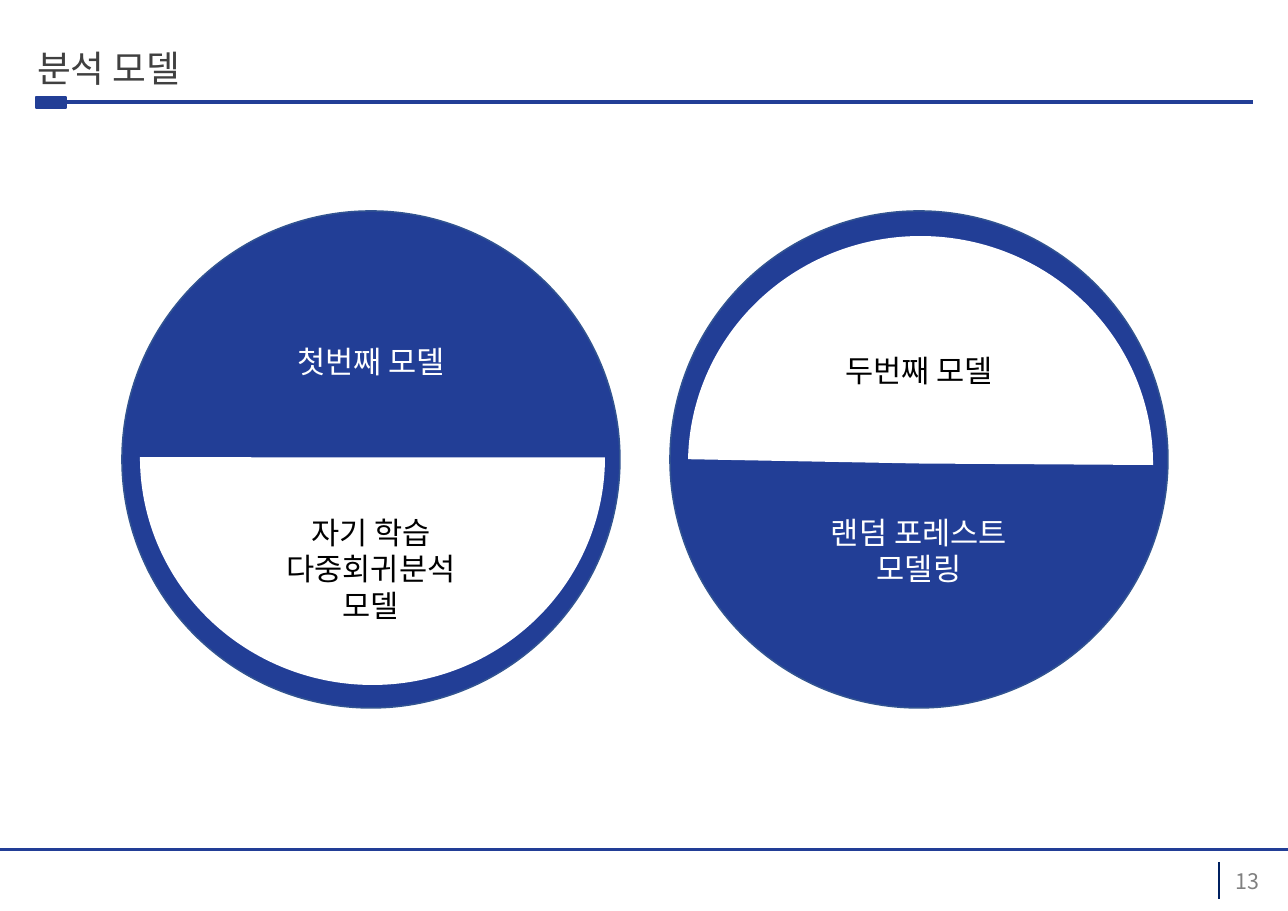
from lxml import etree
from pptx import Presentation
from pptx.dml.color import RGBColor
from pptx.enum.shapes import MSO_CONNECTOR, MSO_SHAPE
from pptx.enum.text import MSO_ANCHOR, MSO_AUTO_SIZE, PP_ALIGN
from pptx.oxml.ns import qn
from pptx.util import Pt

RECTANGLE, OVAL, PIE = MSO_SHAPE.RECTANGLE, MSO_SHAPE.OVAL, MSO_SHAPE.PIE
LEFT, CENTER = PP_ALIGN.LEFT, PP_ALIGN.CENTER
FONT = "Noto Sans CJK KR"
BLUE, OUTLINE, NAVY = "223E96", "325491", "002060"
WHITE, BLACK, DARK_GRAY, GRAY = "FFFFFF", "000000", "404040", "808080"

TITLE = "분석 모델"
PAGE_NUMBER = "13"
SLIDE_WIDTH, SLIDE_HEIGHT = 1288, 911
CIRCLE_TOP, CIRCLE_WIDTH, CIRCLE_HEIGHT = 211, 498, 497
PIE_INSET, PIE_WIDTH, PIE_HEIGHT = 18, 465, 455
# Pie adjustments are start and end angles in units of 100000/60000 degrees.
MODELS = [
    {"left": 122, "pie_top": 230, "rotation": 0, "angles": (0, 108.06),
     "labels": [("첫번째 모델", 337, 48, WHITE),
                ("자기 학습\n다중회귀분석 모델", 508, 122, BLACK)]},
    {"left": 670, "pie_top": 236, "rotation": 180, "angles": (0.64, 108.22),
     "labels": [("두번째 모델", 346, 48, BLACK),
                ("랜덤 포레스트\n모델링", 508, 85, WHITE)]},
]
LABEL_WIDTH = 220


def px(length):
    return round(length * 914400 / 110.2)


def color(value):
    return RGBColor.from_string(value)


def add_shape(slide, kind, box, fill, line=None):
    shape = slide.shapes.add_shape(kind, *map(px, box))
    shape.shadow.inherit = False
    shape.fill.solid()
    shape.fill.fore_color.rgb = color(fill)
    if line:
        shape.line.color.rgb = color(line)
        shape.line.width = Pt(1)
    else:
        shape.line.fill.background()
    return shape


def add_line(slide, ends, line, width):
    connector = slide.shapes.add_connector(MSO_CONNECTOR.STRAIGHT, *map(px, ends))
    connector.line.color.rgb = color(line)
    connector.line.width = Pt(width)
    etree.SubElement(connector.element.spPr, qn("a:effectLst"))


def write(shape, text, *, size, fill, align=LEFT, anchor=MSO_ANCHOR.TOP):
    """Fill a shape with text, one paragraph per line."""
    frame = shape.text_frame
    frame.text = text
    frame.word_wrap = True
    frame.auto_size = MSO_AUTO_SIZE.NONE
    frame.vertical_anchor = anchor
    for paragraph in frame.paragraphs:
        paragraph.alignment = align
        for run in paragraph.runs:
            run.font.name = FONT
            run.font.size = Pt(size)
            run.font.color.rgb = color(fill)
            east_asian = etree.SubElement(run.font._element, qn("a:ea"))
            east_asian.set("typeface", FONT)


def add_text(slide, box, text, **style):
    write(slide.shapes.add_textbox(*map(px, box)), text, **style)


def add_model(slide, model):
    left = model["left"]
    add_shape(slide, OVAL, (left, CIRCLE_TOP, CIRCLE_WIDTH, CIRCLE_HEIGHT), BLUE, OUTLINE)
    half = add_shape(slide, PIE, (left + PIE_INSET, model["pie_top"], PIE_WIDTH, PIE_HEIGHT), WHITE)
    half.rotation = model["rotation"]
    for index, angle in enumerate(model["angles"]):
        half.adjustments[index] = angle
    label_left = left + (CIRCLE_WIDTH - LABEL_WIDTH) // 2
    for text, top, height, fill in model["labels"]:
        add_text(slide, (label_left, top, LABEL_WIDTH, height), text,
                 size=20, fill=fill, align=CENTER)


def main():
    presentation = Presentation()
    presentation.slide_width = px(SLIDE_WIDTH)
    presentation.slide_height = px(SLIDE_HEIGHT)
    slide = presentation.slides.add_slide(presentation.slide_layouts[5])

    add_line(slide, (66, 102, 1253, 102), BLUE, 2.25)
    add_shape(slide, RECTANGLE, (0, 848, SLIDE_WIDTH, 3), BLUE)
    add_shape(slide, RECTANGLE, (36, 97, 30, 11), BLUE, BLUE)
    add_line(slide, (1219, 862, 1219, 899), NAVY, 0.75)
    add_text(slide, (1225, 863, 63, 37), PAGE_NUMBER, size=14, fill=GRAY)

    title = slide.shapes.title
    title.left, title.top, title.width, title.height = map(px, (26, 48, 1227, 40))
    write(title, TITLE, size=24, fill=DARK_GRAY, anchor=MSO_ANCHOR.MIDDLE)

    for model in MODELS:
        add_model(slide, model)
    presentation.save("out.pptx")


if __name__ == "__main__":
    main()
